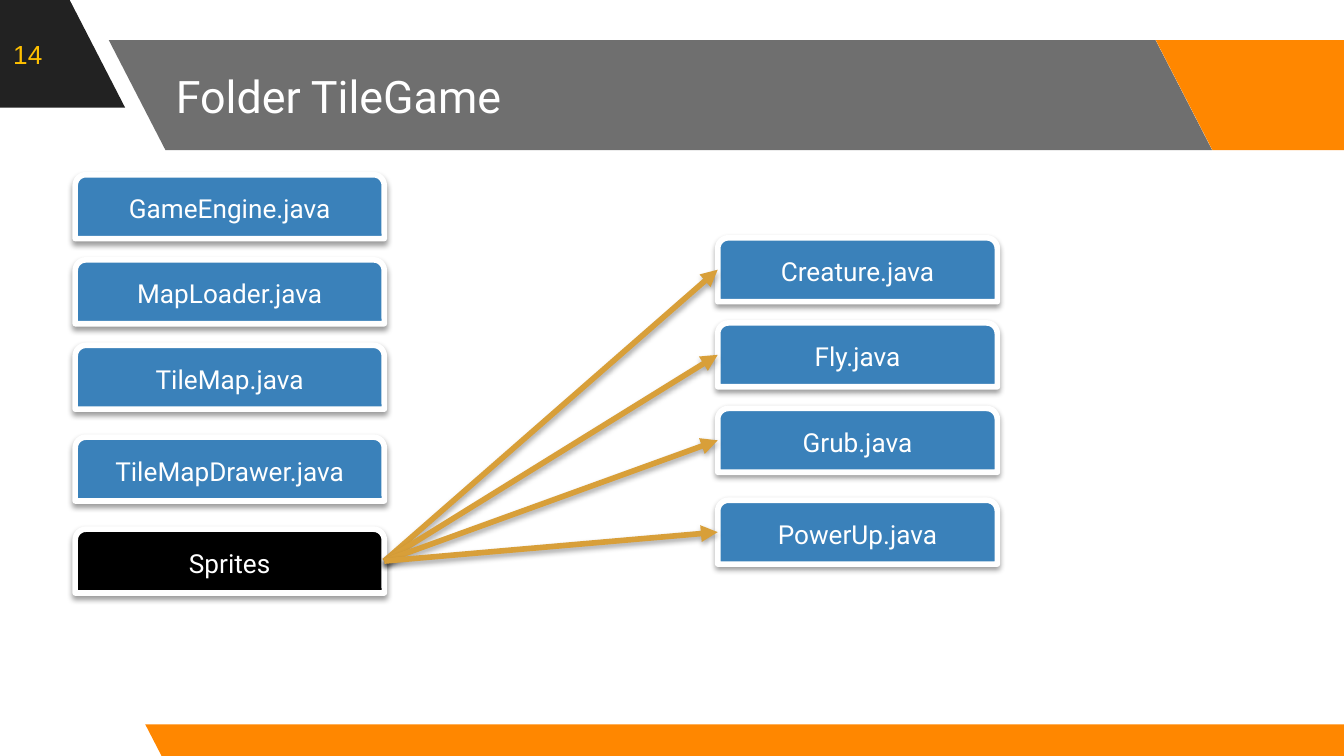
from dataclasses import dataclass

from lxml.etree import SubElement
from pptx import Presentation
from pptx.dml.color import RGBColor
from pptx.enum.shapes import MSO_CONNECTOR, MSO_SHAPE
from pptx.enum.text import MSO_ANCHOR, PP_ALIGN
from pptx.oxml.ns import qn
from pptx.util import Pt


@dataclass(frozen=True)
class Theme:
    white: RGBColor = RGBColor(0xFF, 0xFF, 0xFF)
    black: RGBColor = RGBColor(0x00, 0x00, 0x00)
    dark: RGBColor = RGBColor(0x22, 0x22, 0x22)
    orange: RGBColor = RGBColor(0xFF, 0x87, 0x00)
    blue: RGBColor = RGBColor(0x3A, 0x81, 0xBA)
    arrow: RGBColor = RGBColor(0xD8, 0x9F, 0x39)
    number: RGBColor = RGBColor(0xFF, 0xC0, 0x00)
    title_size: Pt = Pt(24)
    body_size: Pt = Pt(14)
    stroke: Pt = Pt(3)


theme = Theme()


def write(shape, text, size, color, font="Roboto", align=PP_ALIGN.LEFT):
    frame = shape.text_frame
    frame.word_wrap = True
    frame.vertical_anchor = MSO_ANCHOR.MIDDLE
    para = frame.paragraphs[0]
    para.alignment = align
    span = para.add_run()
    span.text = text
    span.font.name = font
    span.font.size = size
    span.font.color.rgb = color


def drop_shadow(item, distance, opacity):
    """Add a soft black shadow straight below; call it after the line is set."""
    effects = SubElement(item.element.spPr, qn("a:effectLst"))
    shadow = SubElement(effects, qn("a:outerShdw"), blurRad=str(Pt(3.1)),
                        dist=str(Pt(distance)), dir="5400000", rotWithShape="0")
    black = SubElement(shadow, qn("a:srgbClr"), val=str(theme.black))
    SubElement(black, qn("a:alpha"), val=str(opacity * 1000))


deck = Presentation()
deck.slide_width, deck.slide_height = Pt(720), Pt(405)
page = deck.slides.add_slide(deck.slide_layouts[6])

# Slanted bars: left, top, width, height, slant, colour, opacity in percent
bars = [
    (-71.3, -1.4, 138.3, 59, 0.515, theme.dark, 100),
    (37.4, -0.7, 41, 59, 0.75, theme.white, 100),
    (58.3, 21.5, 591.1, 59, 0.515, theme.dark, 65),
    (619.2, 21.5, 138.3, 59, 0.515, theme.orange, 100),
    (77.8, 388, 658.8, 18, 0.515, theme.orange, 100),
]
for left, top, width, height, slant, color, opacity in bars:
    bar = page.shapes.add_shape(MSO_SHAPE.PARALLELOGRAM, Pt(left), Pt(top), Pt(width), Pt(height))
    bar.adjustments[0] = slant
    bar.element.spPr.xfrm.set("flipH", "1")
    bar.shadow.inherit = False
    bar.line.fill.background()
    bar.fill.solid()
    bar.fill.fore_color.rgb = color
    if opacity < 100:
        tint = bar.element.spPr.find(qn("a:solidFill"))[0]
        SubElement(tint, qn("a:alpha"), val=str(opacity * 1000))

labels = [
    ((87.1, 21.5, 529.2, 59), "Folder TileGame", theme.title_size, theme.white, "Roboto"),
    ((0, 0, 46.8, 57.6), "14", theme.body_size, theme.number, "Arial"),
]
for area, text, size, color, font in labels:
    box = page.shapes.add_textbox(*map(Pt, area))
    frame = box.text_frame
    frame.margin_left = frame.margin_right = frame.margin_top = frame.margin_bottom = Pt(7.2)
    write(box, text, size, color, font)

# File boxes: the right column sits a fixed drop below the rows of the left one
row_tops = [93.6, 139.2, 185, 234.2, 283.5]
box_height = 34.2
folder_left, folder_width = 40.3, 165.6
sprite_left, sprite_width, sprite_drop = 384.5, 149.8, 33.8
folder_files = ["GameEngine.java", "MapLoader.java", "TileMap.java", "TileMapDrawer.java", "Sprites"]
sprite_files = ["Creature.java", "Fly.java", "Grub.java", "PowerUp.java"]

columns = [
    (folder_left, folder_width, 0, folder_files),
    (sprite_left, sprite_width, sprite_drop, sprite_files),
]
for left, width, drop, names in columns:
    for name, top in zip(names, row_tops):
        box = page.shapes.add_shape(MSO_SHAPE.ROUND_2_SAME_RECTANGLE,
                                    Pt(left), Pt(top + drop), Pt(width), Pt(box_height))
        box.fill.solid()
        box.fill.fore_color.rgb = theme.black if name == "Sprites" else theme.blue
        box.line.color.rgb = theme.white
        box.line.width = theme.stroke
        drop_shadow(box, 1.6, 38)
        write(box, name, theme.body_size, theme.white, align=PP_ALIGN.CENTER)

# Arrows from the Sprites folder to each of its files
start_x = folder_left + folder_width
start_y = row_tops[-1] + box_height / 2
for top in row_tops[:len(sprite_files)]:
    end_y = top + sprite_drop + box_height / 2
    arrow = page.shapes.add_connector(MSO_CONNECTOR.STRAIGHT, Pt(start_x), Pt(start_y),
                                      Pt(sprite_left), Pt(end_y))
    arrow.line.color.rgb = theme.arrow
    arrow.line.width = theme.stroke
    SubElement(arrow.line._get_or_add_ln(), qn("a:tailEnd"), type="triangle")
    drop_shadow(arrow, 1.8, 35)

deck.save("out.pptx")
